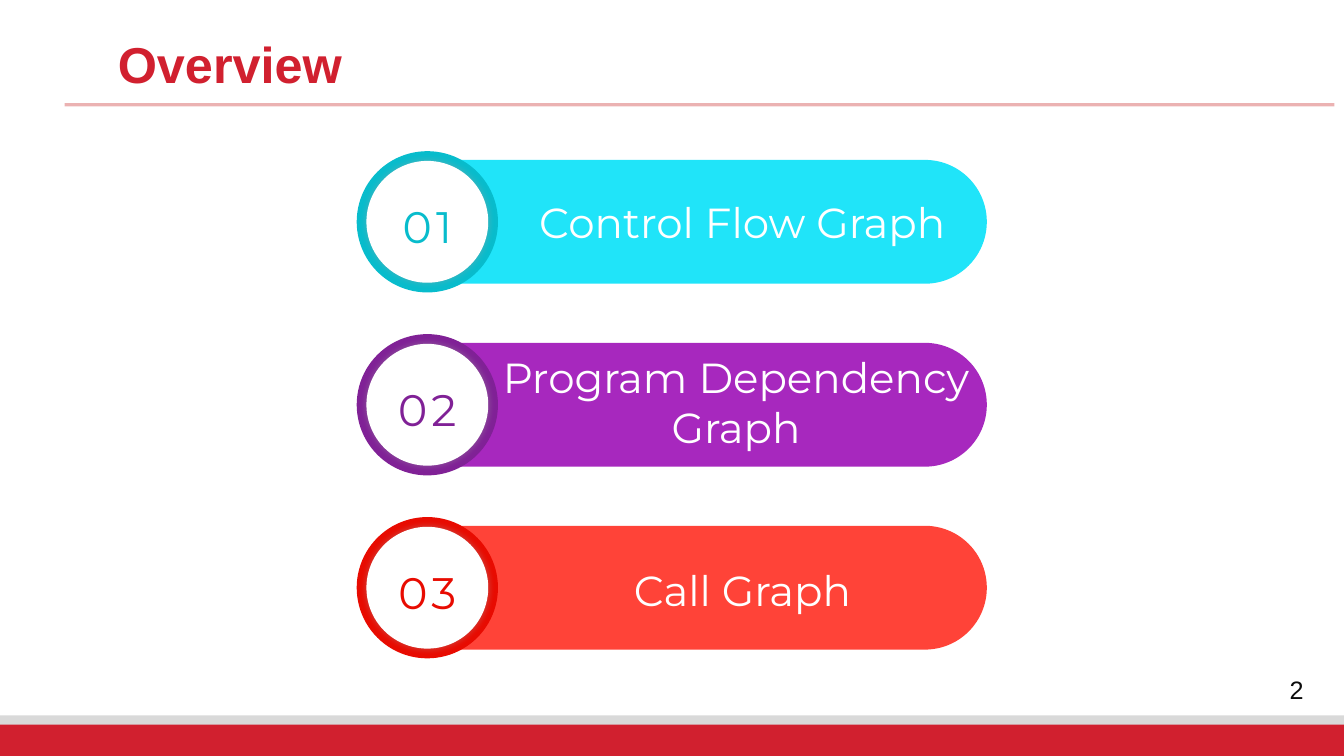
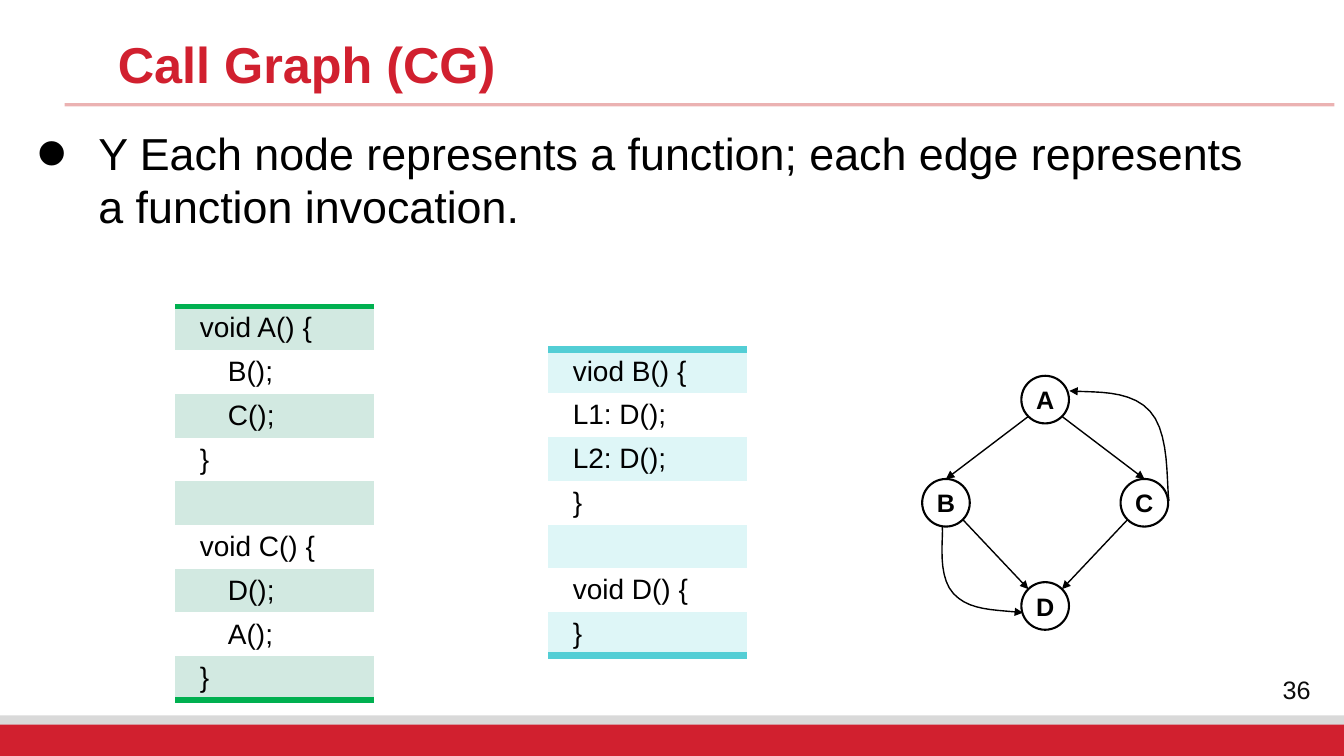
import math

from lxml import etree
from pptx import Presentation
from pptx import util as u
from pptx.dml.color import RGBColor
from pptx.enum import shapes, text
from pptx.oxml.ns import qn

COLOURS = {
    "white": "FFFFFF", "black": "000000", "number": "0D0D0D",
    "red": "D1202F", "grey": "D9D9D9", "rule": "C00000", "glow": "A6A6A6",
    "cyan": "20E4F9", "cyan_dark": "08BCCC",
    "purple": "A728BE", "purple_dark": "802196",
    "coral": "FF4338", "coral_dark": "E80B01",
    "green_band": "D2E9E1", "green_edge": "00B050",
    "teal_band": "DEF6F7", "teal_edge": "53CED5",
}
SLIDE_W, SLIDE_H = 33.87, 19.05
NO_TABLE_STYLE = "{2D5ABB26-0587-4C30-8999-92F81FD0307C}"
MIDDLE = text.MSO_ANCHOR.MIDDLE
CENTER = text.PP_ALIGN.CENTER


def rgb(name):
    return RGBColor.from_string(COLOURS[name])


def cm(*values):
    return [u.Cm(v) for v in values]


def sub(parent, tag, **attrs):
    return etree.SubElement(parent, qn(tag), {k: str(v) for k, v in attrs.items()})


def add_run(p, words, size, colour, font="Arial", bold=False):
    r = p.add_run()
    r.text = words
    r.font.size, r.font.name, r.font.bold = u.Pt(size), font, bold
    r.font.color.rgb = rgb(colour)
    return r


def add_block(container, kind, box, fill, line_width=0):
    sp = container.add_shape(kind, *cm(*box))
    sp.shadow.inherit = False
    sp.fill.solid()
    sp.fill.fore_color.rgb = rgb(fill)
    if line_width:
        sp.line.color.rgb = rgb("black")
        sp.line.width = u.Pt(line_width)
    else:
        sp.line.fill.background()
    return sp


def add_text(s, box, words, size, colour, anchor=MIDDLE, align=CENTER, **font):
    """Add a one-run text box; return its frame, paragraph and run."""
    tf = s.shapes.add_textbox(*cm(*box)).text_frame
    tf.word_wrap = True
    tf.vertical_anchor = anchor
    p = tf.paragraphs[0]
    p.alignment = align
    return tf, p, add_run(p, words, size, colour, **font)


def add_line(container, start, end, colour, width):
    line = container.add_connector(shapes.MSO_CONNECTOR.STRAIGHT, *cm(*start, *end))
    line.line.color.rgb = rgb(colour)
    line.line.width = u.Pt(width)
    sub(line.element.spPr, "a:effectLst")
    return line


def add_arrowhead(sp):
    sub(sp.element.spPr.find(qn("a:ln")), "a:tailEnd", type="triangle")


def add_frame(prs, title, title_width, number):
    """Start a slide with the shared bands, rule, title and number."""
    s = prs.slides.add_slide(prs.slide_layouts[6])
    for colour, height in (("grey", 1.02), ("red", 0.79)):
        add_block(s.shapes, shapes.MSO_SHAPE.RECTANGLE,
                  (0, SLIDE_H - height, SLIDE_W, height), colour)
    rule = add_line(s.shapes, (1.63, 2.64), (33.63, 2.64), "rule", 2.25)
    sub(next(rule.element.iter(qn("a:srgbClr"))), "a:alpha", val=30000)
    add_text(s, (31.52, 16.89, 2.31, 0.99), number, 18, "number")
    _, p, _ = add_text(s, (2.72, 0.89, title_width, 1.22), title, 36, "red",
                       anchor=text.MSO_ANCHOR.TOP, align=text.PP_ALIGN.LEFT, bold=True)
    p.line_spacing = 0.9
    return s


def add_agenda_item(s, x, y, number, topic, colour, label_offset):
    ring, disc = 3.56, 3.07
    inset = (ring - disc) / 2
    dark = colour + "_dark"
    pill = add_block(s.shapes, shapes.MSO_SHAPE.ROUNDED_RECTANGLE,
                     (x + 0.92, y + 0.22, 14.96, 3.12), colour)
    pill.adjustments[0] = 0.5
    add_block(s.shapes, shapes.MSO_SHAPE.OVAL, (x, y, ring, ring), dark)
    white = add_block(s.shapes, shapes.MSO_SHAPE.OVAL,
                      (x + inset, y + inset, disc, disc), "white")
    glow = sub(white.element.spPr.find(qn("a:effectLst")), "a:outerShdw",
               blurRad=u.Pt(5), dist=0, dir=0, algn="ctr", rotWithShape=0)
    sub(sub(glow, "a:srgbClr", val=COLOURS["glow"]), "a:alpha", val=40000)
    tf, _, r = add_text(s, (x + inset, y + 0.97, disc, 1.68), number, 31.5, dark,
                        font="Montserrat")
    tf.margin_bottom = 0
    r.font._element.set("spc", "300")
    dx, dy = label_offset
    add_text(s, (x + dx, y + dy, 12.32, 3.02), topic, 30, "white", font="Montserrat")


def add_bullet(s, box, words):
    tf, p, _ = add_text(s, box, words, 32, "black", anchor=text.MSO_ANCHOR.TOP,
                        align=text.PP_ALIGN.LEFT)
    p.line_spacing = u.Pt(38)
    pPr = p._p.get_or_add_pPr()
    pPr.set("marL", str(u.Cm(1.57)))
    pPr.set("indent", str(u.Cm(-1.7)))
    sub(pPr, "a:buSzPct", val=200000)
    sub(pPr, "a:buFont", typeface="Arial")
    sub(pPr, "a:buChar", char="•")


def add_cell_edge(cell, tag, colour, width):
    edge = etree.Element(qn(tag), w=str(u.Pt(width)))
    sub(sub(edge, "a:solidFill"), "a:srgbClr", val=COLOURS[colour])
    cell._tc.get_or_add_tcPr().insert(0, edge)


def add_code_table(s, x, y, lines, colour, edge_width):
    row_height = 1.1
    frame = s.shapes.add_table(len(lines), 1, *cm(x, y, 5, row_height * len(lines)))
    next(frame.element.iter(qn("a:tableStyleId"))).text = NO_TABLE_STYLE
    table = frame.table
    table.first_row = table.horz_banding = False
    for i, line in enumerate(lines):
        table.rows[i].height = u.Cm(row_height)
        cell = table.cell(i, 0)
        cell.vertical_anchor = MIDDLE
        cell.fill.solid()
        cell.fill.fore_color.rgb = rgb("white" if i % 2 else colour + "_band")
        code = line.lstrip()
        if code:
            p = cell.text_frame.paragraphs[0]
            indent = 1.07 if line != code else 0.36
            p._p.get_or_add_pPr().set("indent", str(u.Cm(indent)))
            add_run(p, code, 20, "black")
    add_cell_edge(table.cell(0, 0), "a:lnT", colour + "_edge", edge_width)
    add_cell_edge(table.cell(len(lines) - 1, 0), "a:lnB", colour + "_edge", edge_width)


def bezier(p0, p1, p2, p3, steps=10):
    """Points along a cubic curve, without its start."""
    for i in range(1, steps + 1):
        t = i / steps
        weights = ((1 - t) ** 3, 3 * t * (1 - t) ** 2, 3 * t * t * (1 - t), t ** 3)
        yield tuple(sum(w * p[axis] for w, p in zip(weights, (p0, p1, p2, p3)))
                    for axis in (0, 1))


def add_curved_arrow(container, points):
    """Draw chained cubic curves: a start, then three points per curve."""
    track = [points[0]]
    for i in range(0, len(points) - 1, 3):
        track += bezier(*points[i:i + 4])
    track = [cm(*point) for point in track]
    builder = container.build_freeform(*track[0])
    builder.add_line_segments(track[1:], close=False)
    sp = builder.convert_to_shape()
    sp.shadow.inherit = False
    sp.fill.background()
    sp.line.color.rgb = rgb("black")
    sp.line.width = u.Pt(1)
    add_arrowhead(sp)


def add_call_graph(s, x, y):
    group = s.shapes.add_group_shape().shapes
    size, dx, dy = 1.2, 2.5, 2.6
    grid = {"B": (0, 1), "C": (2, 1), "A": (1, 0), "D": (1, 2)}
    for name, (col, row) in grid.items():
        node = add_block(group, shapes.MSO_SHAPE.OVAL,
                         (x + col * dx, y + row * dy, size, size), "white", 1.5)
        tf = node.text_frame
        tf.margin_left = tf.margin_right = tf.margin_top = tf.margin_bottom = 0
        tf.word_wrap = False
        tf.vertical_anchor = MIDDLE
        p = tf.paragraphs[0]
        p.alignment = CENTER
        add_run(p, name, 18, "black", bold=True)

    def rim(name, degrees):
        col, row = grid[name]
        angle = math.radians(degrees)
        return (x + col * dx + size / 2 * (1 + math.cos(angle)),
                y + row * dy + size / 2 * (1 + math.sin(angle)))

    for start, out, end, into in (("A", 135, "B", -90), ("A", 45, "C", -90),
                                  ("B", 45, "D", -135), ("C", 135, "D", -45)):
        add_arrowhead(add_line(group, rim(start, out), rim(end, into), "black", 1))

    c_to_a = ((6.22, 3.15), (6.15, 2.72), (6.25, 1.45), (5.74, 0.89),
              (5.23, 0.33), (4.32, 0.43), (3.71, 0.38))
    b_to_d = ((0.51, 3.81), (0.53, 4.14), (0.38, 5.05), (0.79, 5.49),
              (1.19, 5.92), (1.8, 5.89), (2.54, 5.97))
    for curve in (c_to_a, b_to_d):
        add_curved_arrow(group, [(x + px, y + py) for px, py in curve])


def build_overview(prs):
    s = add_frame(prs, "Overview", 15.8, "2")
    items = (("Control Flow Graph", "cyan", (3.56, 0.28)),
             ("Program Dependency Graph", "purple", (3.4, 0.19)),
             ("Call Graph", "coral", (3.56, 0.31)))
    for i, (topic, colour, label_offset) in enumerate(items):
        add_agenda_item(s, 8.99, 3.81 + i * 4.61, f"{i + 1:02}", topic, colour,
                        label_offset)


def build_call_graph(prs):
    s = add_frame(prs, "Call Graph (CG)", 28.88, "36")
    add_bullet(s, (0.66, 3.05, 31.19, 4.24),
               "Y Each node represents a function; each edge represents "
               "a function invocation.")
    add_code_table(s, 4.42, 7.72,
                   ["void A() {", "  B();", "  C();", "}", "",
                    "void C() {", "  D();", "  A();", "}"], "green", 4.5)
    add_code_table(s, 13.82, 8.81,
                   ["viod B() {", "L1: D();", "L2: D();", "}", "",
                    "void D() {", "}"], "teal", 6)
    add_call_graph(s, 23.24, 9.47)


def main():
    prs = Presentation()
    prs.slide_width, prs.slide_height = cm(SLIDE_W, SLIDE_H)
    build_overview(prs)
    build_call_graph(prs)
    prs.save("out.pptx")


if __name__ == "__main__":
    main()
